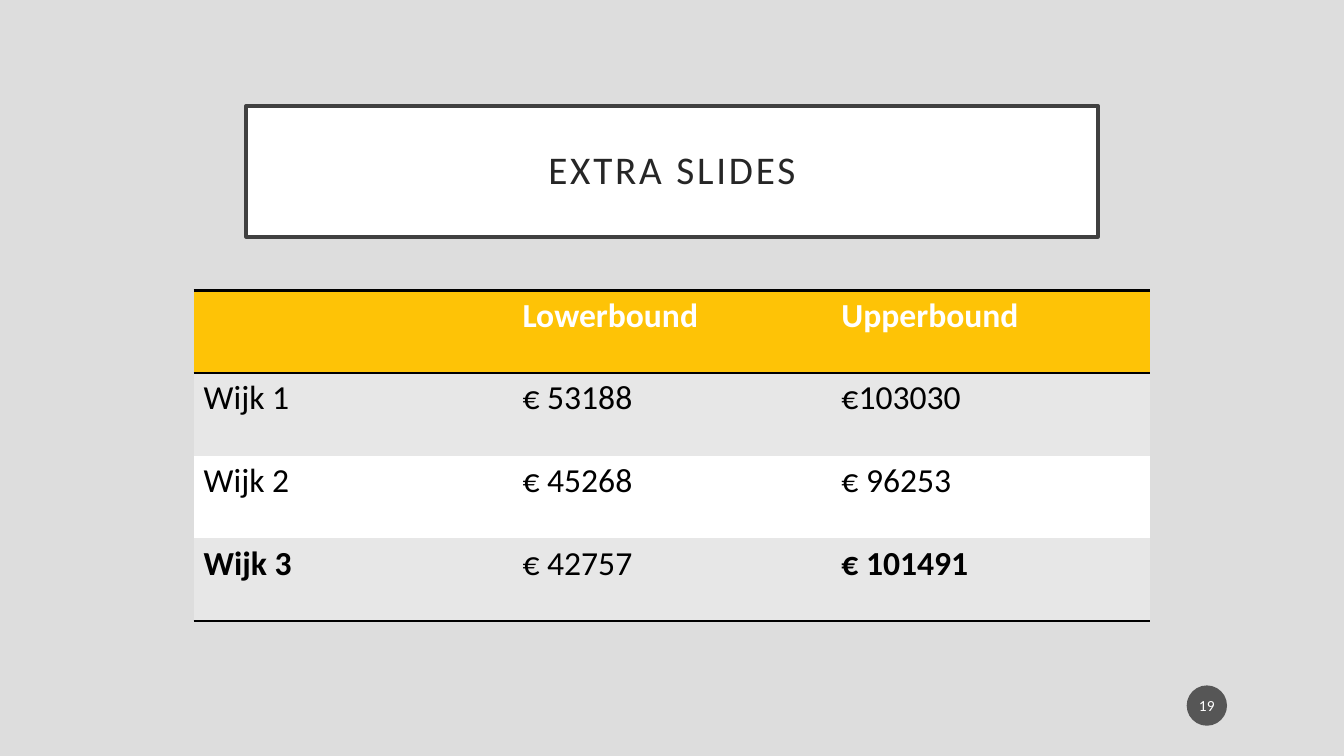
import dataclasses
import typing

import pptx
import pptx.dml.color
import pptx.enum.shapes
import pptx.enum.text
import pptx.oxml
import pptx.oxml.ns
import pptx.util

Inches = pptx.util.Inches
Align = pptx.enum.text.PP_ALIGN
Anchor = pptx.enum.text.MSO_ANCHOR
Shape = pptx.enum.shapes.MSO_SHAPE


@dataclasses.dataclass(frozen=True)
class Theme:
    font: str = "Calibri"
    back: str = "DDDDDD"
    white: str = "FFFFFF"
    black: str = "000000"
    frame: str = "404040"
    title: str = "262626"
    badge: str = "1D1D1D"
    head: str = "FEC306"
    band: str = "E7E7E7"
    title_size: float = 28
    table_size: float = 24
    badge_size: float = 11


@dataclasses.dataclass(frozen=True)
class Row:
    cells: tuple[str, str, str]
    fill: str
    color: str = "000000"
    bold: tuple[bool, bool, bool] = (False, False, False)
    edges: tuple[str, ...] = ()


@dataclasses.dataclass(frozen=True)
class Panel:
    kind: typing.Any
    box: tuple[float, float, float, float]
    inset: tuple[float, float]
    fill: str
    text: str
    size: float
    color: str
    line: str | None = None
    alpha: int = 100
    track: float = 0
    space: float = 1


THEME = Theme()
PANELS = (
    Panel(Shape.RECTANGLE, (2.44, 1.05, 8.45, 1.3), (0.2, 0.2), THEME.white,
          "EXTRA SLIDES", THEME.title_size, THEME.title,
          line=THEME.frame, track=2, space=0.9),
    Panel(Shape.OVAL, (11.77, 6.8, 0.4, 0.4), (0.02, 0.05), THEME.badge,
          "19", THEME.badge_size, THEME.white, alpha=70),
)
ROWS = (
    Row(("", "Lowerbound", "Upperbound"), THEME.head, THEME.white,
        (True, True, True), ("T", "B")),
    Row(("Wijk 1", "€ 53188", "€103030"), THEME.band),
    Row(("Wijk 2", "€ 45268", "€ 96253"), THEME.white),
    Row(("Wijk 3", "€ 42757", "€ 101491"), THEME.band,
        bold=(True, False, True), edges=("B",)),
)
TABLE_BOX = (1.92, 2.88, 9.49, 3.28)
PLAIN_STYLE = "{2D5ABB26-0587-4C30-8999-92F81FD0307C}"


def paint(fill: typing.Any, color: str) -> None:
    fill.solid()
    fill.fore_color.rgb = pptx.dml.color.RGBColor.from_string(color)


def write(frame: typing.Any, text: str, *, size: float, color: str,
          bold: bool = False, align: typing.Any = Align.LEFT,
          track: float = 0, space: float = 1) -> None:
    """Put one formatted run in a text frame; track is letter spacing in points."""
    para = frame.paragraphs[0]
    para.alignment = align
    para.line_spacing = space
    run = para.add_run()
    run.text = text
    run.font.name = THEME.font
    run.font.size = pptx.util.Pt(size)
    run.font.bold = bold
    run.font.color.rgb = pptx.dml.color.RGBColor.from_string(color)
    if track:
        run.font._element.set("spc", str(int(track * 100)))


def add_panel(slide: typing.Any, panel: Panel) -> None:
    shape = slide.shapes.add_shape(panel.kind, *map(Inches, panel.box))
    shape.shadow.inherit = False
    paint(shape.fill, panel.fill)
    if panel.alpha < 100:
        tint = shape._element.spPr.find(".//" + pptx.oxml.ns.qn("a:srgbClr"))
        tint.append(pptx.oxml.parse_xml(
            f'<a:alpha {pptx.oxml.ns.nsdecls("a")} val="{panel.alpha * 1000}"/>'))
    if panel.line:
        paint(shape.line.fill, panel.line)
        shape.line.width = pptx.util.Pt(2.5)
    else:
        shape.line.fill.background()
    frame = shape.text_frame
    frame.word_wrap = True
    frame.vertical_anchor = Anchor.MIDDLE
    frame.margin_left = frame.margin_right = Inches(panel.inset[0])
    frame.margin_top = frame.margin_bottom = Inches(panel.inset[1])
    write(frame, panel.text, size=panel.size, color=panel.color,
          align=Align.CENTER, track=panel.track, space=panel.space)


def add_edge(cell: typing.Any, side: str) -> None:
    """Draw a cell border; call before the fill, which must follow it in the XML."""
    cell._tc.get_or_add_tcPr().append(pptx.oxml.parse_xml(
        f'<a:ln{side} {pptx.oxml.ns.nsdecls("a")} w="{pptx.util.Pt(2)}">'
        f'<a:solidFill><a:srgbClr val="{THEME.black}"/></a:solidFill></a:ln{side}>'))


def add_bounds(slide: typing.Any) -> None:
    """Add the table of lower and upper bounds per district."""
    table = slide.shapes.add_table(
        len(ROWS), len(ROWS[0].cells), *map(Inches, TABLE_BOX)).table
    table.horz_banding = False
    table._tbl.tblPr.find(pptx.oxml.ns.qn("a:tableStyleId")).text = PLAIN_STYLE
    for r, row in enumerate(ROWS):
        for c, (text, bold) in enumerate(zip(row.cells, row.bold)):
            cell = table.cell(r, c)
            for side in row.edges:
                add_edge(cell, side)
            paint(cell.fill, row.fill)
            if text:
                write(cell.text_frame, text, size=THEME.table_size,
                      color=row.color, bold=bold)


def main() -> None:
    deck = pptx.Presentation()
    deck.slide_width, deck.slide_height = Inches(13.33), Inches(7.5)
    slide = deck.slides.add_slide(deck.slide_layouts[6])
    paint(slide.background.fill, THEME.back)
    for panel in PANELS:
        add_panel(slide, panel)
    add_bounds(slide)
    deck.save("out.pptx")


if __name__ == "__main__":
    main()
